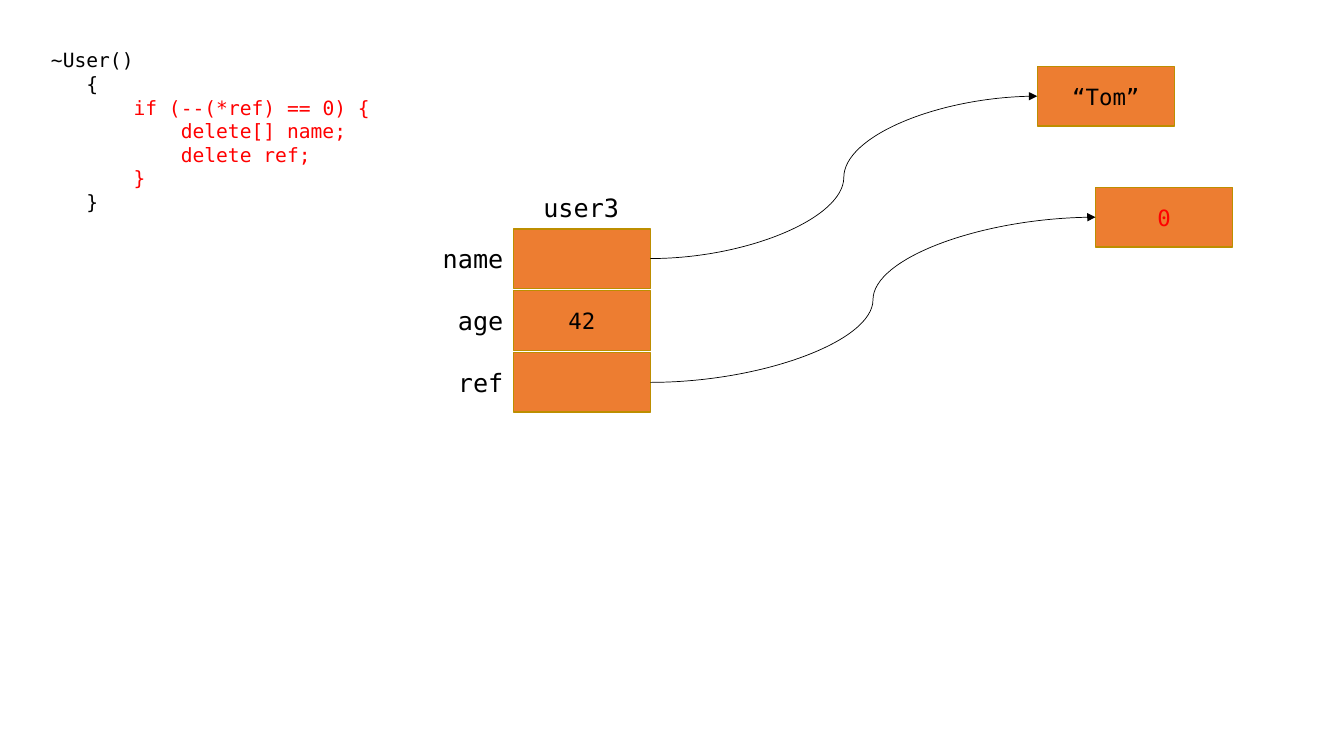
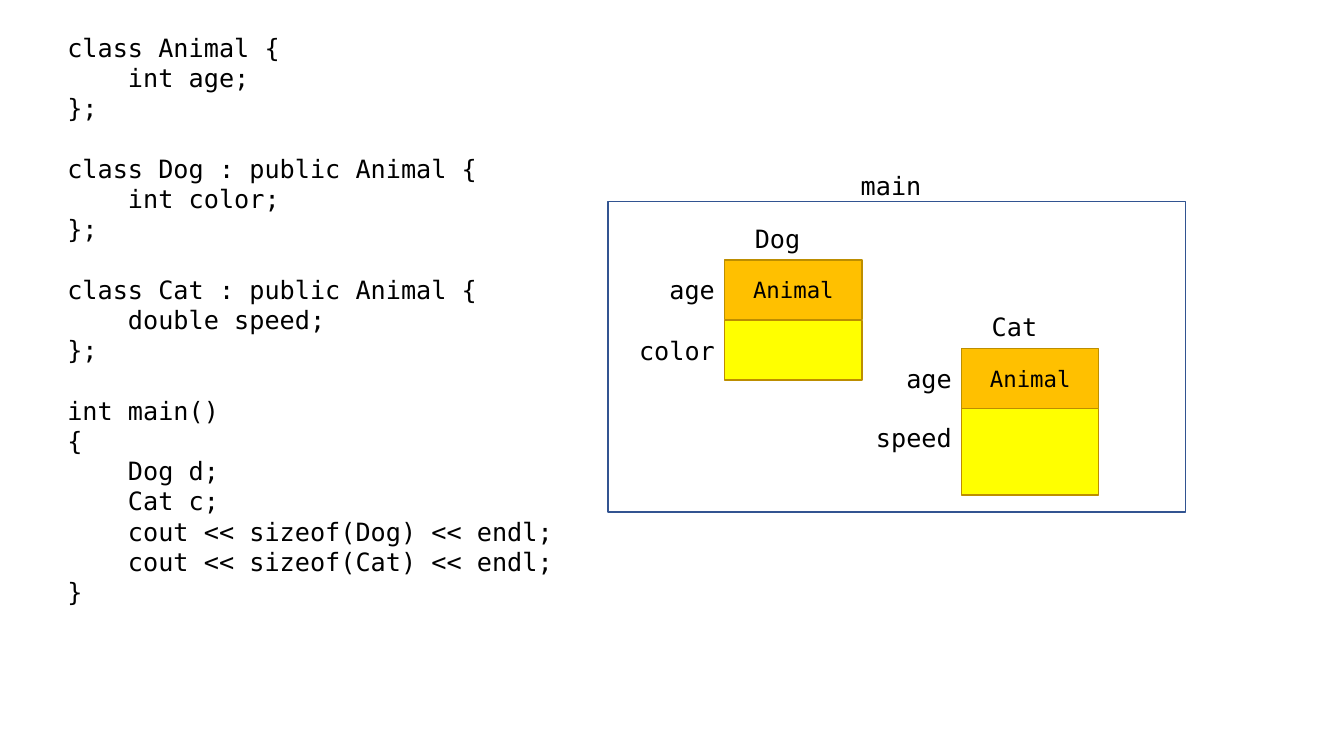
from pptx import Presentation
from pptx.dml.color import RGBColor
from pptx.enum.shapes import MSO_CONNECTOR as Link, MSO_SHAPE as Form
from pptx.enum.text import MSO_ANCHOR as Anchor, MSO_AUTO_SIZE as Fit, PP_ALIGN as Align
from pptx.oxml.ns import qn
from pptx.util import Pt
from lxml.etree import SubElement

BLACK = RGBColor(0, 0, 0)
WHITE = RGBColor(255, 255, 255)
RED = RGBColor(255, 0, 0)
ORANGE = RGBColor(0xED, 0x7D, 0x31)
AMBER = RGBColor(0xFF, 0xC0, 0)
YELLOW = RGBColor(255, 255, 0)
GOLD = RGBColor(0xBD, 0x8E, 0)
BLUE = RGBColor(0x32, 0x54, 0x91)

USER = """ ~User()
    {
        if (--(*ref) == 0) {
            delete[] name;
            delete ref;
        }
    }"""

ANIMAL = """class Animal {
    int age;
};

class Dog : public Animal {
    int color;
};

class Cat : public Animal {
    double speed;
};

int main()
{
    Dog d;
    Cat c;
    cout << sizeof(Dog) << endl;
    cout << sizeof(Cat) << endl;
}"""


class Deck:
    font = "DejaVu Sans Mono"
    wide, high = 98, 42.5
    label, tall = 74, 28.8

    def __init__(self):
        self.file = Presentation()
        self.file.slide_width, self.file.slide_height = Pt(960), Pt(540)

    def page(self):
        self.slide = self.file.slides.add_slide(self.file.slide_layouts[6])

    def style(self, para, size, color=BLACK, align=Align.LEFT):
        para.alignment = align
        for run in para.runs:
            run.font.name = self.font
            run.font.size = Pt(size)
            run.font.color.rgb = color

    def frame(self, left, top, width, height):
        box = self.slide.shapes.add_textbox(Pt(left), Pt(top), Pt(width), Pt(height))
        frame = box.text_frame
        frame.word_wrap = True
        frame.auto_size = Fit.SHAPE_TO_FIT_TEXT
        return frame

    def text(self, left, top, width, words, align=Align.LEFT):
        frame = self.frame(left, top, width, self.tall)
        frame.text = words
        self.style(frame.paragraphs[0], 18, align=align)

    def code(self, left, top, height, source, size, reds=()):
        frame = self.frame(left, top, 480, height)
        rows = source.split("\n")
        frame.text = "\n".join(row.strip() for row in rows if row)
        paras = iter(frame.paragraphs)
        gap = 0
        for at, row in enumerate(rows):
            if not row:
                gap = size * 1.2
                continue
            para = next(paras)
            self.style(para, size, RED if at in reds else BLACK)
            para.space_before = Pt(gap)
            gap = 0
            depth = len(row) - len(row.lstrip())
            props = para._p.get_or_add_pPr()
            props.set("marL", str(Pt(depth * size * 0.602)))
            props.set("indent", "0")

    def box(self, left, top, width, height, fill, line=GOLD, words="", color=BLACK):
        box = self.slide.shapes.add_shape(
            Form.RECTANGLE, Pt(left), Pt(top), Pt(width), Pt(height))
        box.shadow.inherit = False
        box.fill.solid()
        box.fill.fore_color.rgb = fill
        box.line.color.rgb = line
        box.line.width = Pt(1)
        if words:
            box.text_frame.text = words
            box.text_frame.vertical_anchor = Anchor.MIDDLE
            self.style(box.text_frame.paragraphs[0], 16, color, Align.CENTER)
        return box

    def cell(self, left, top, fill, words="", color=BLACK, height=high):
        return self.box(left, top, self.wide, height, fill, GOLD, words, color)

    def stack(self, left, top, name, step, rows):
        self.text(left + 14.4, top - 30, 69, name)
        cells = []
        for at, (label, words, fill, height) in enumerate(rows):
            row = top + at * step
            cells.append(self.cell(left, row, fill, words, height=height))
            self.text(left - self.label, row + 6.8, self.label, label, Align.RIGHT)
        return cells

    def arrow(self, start, end):
        curve = self.slide.shapes.add_connector(Link.CURVE, 0, 0, 0, 0)
        curve.begin_connect(start, 3)
        curve.end_connect(end, 1)
        curve.line.color.rgb = BLACK
        curve.line.width = Pt(0.5)
        SubElement(curve.line._get_or_add_ln(), qn("a:tailEnd"), type="triangle")
        SubElement(curve._element.spPr, qn("a:effectLst"))


deck = Deck()
high = deck.high

deck.page()
tom = deck.cell(740.9, 47.5, ORANGE, "“Tom”")
count = deck.cell(782.6, 133.9, ORANGE, "0", RED)
name, age, ref = deck.stack(366.6, 163.5, "user3", 44.2, [
    ("name", "", ORANGE, high), ("age", "42", ORANGE, high), ("ref", "", ORANGE, high)])
deck.arrow(name, tom)
deck.arrow(ref, count)
deck.code(20.9, 31, 126, USER, 14, range(2, 6))

deck.page()
deck.code(41, 19.4, 422, ANIMAL, 18)
deck.box(434.2, 144, 412.6, 221.8, WHITE, BLUE)
deck.text(607.7, 118.1, 65.5, "main")
for left, top, kind, step, field, height in [
        (517.7, 185.8, "Dog", 43.2, "color", high),
        (686.9, 249.1, "Cat", 42.5, "speed", 62)]:
    deck.stack(left, top, kind, step, [
        ("age", "Animal", AMBER, high), (field, "", YELLOW, height)])

deck.file.save("out.pptx")
